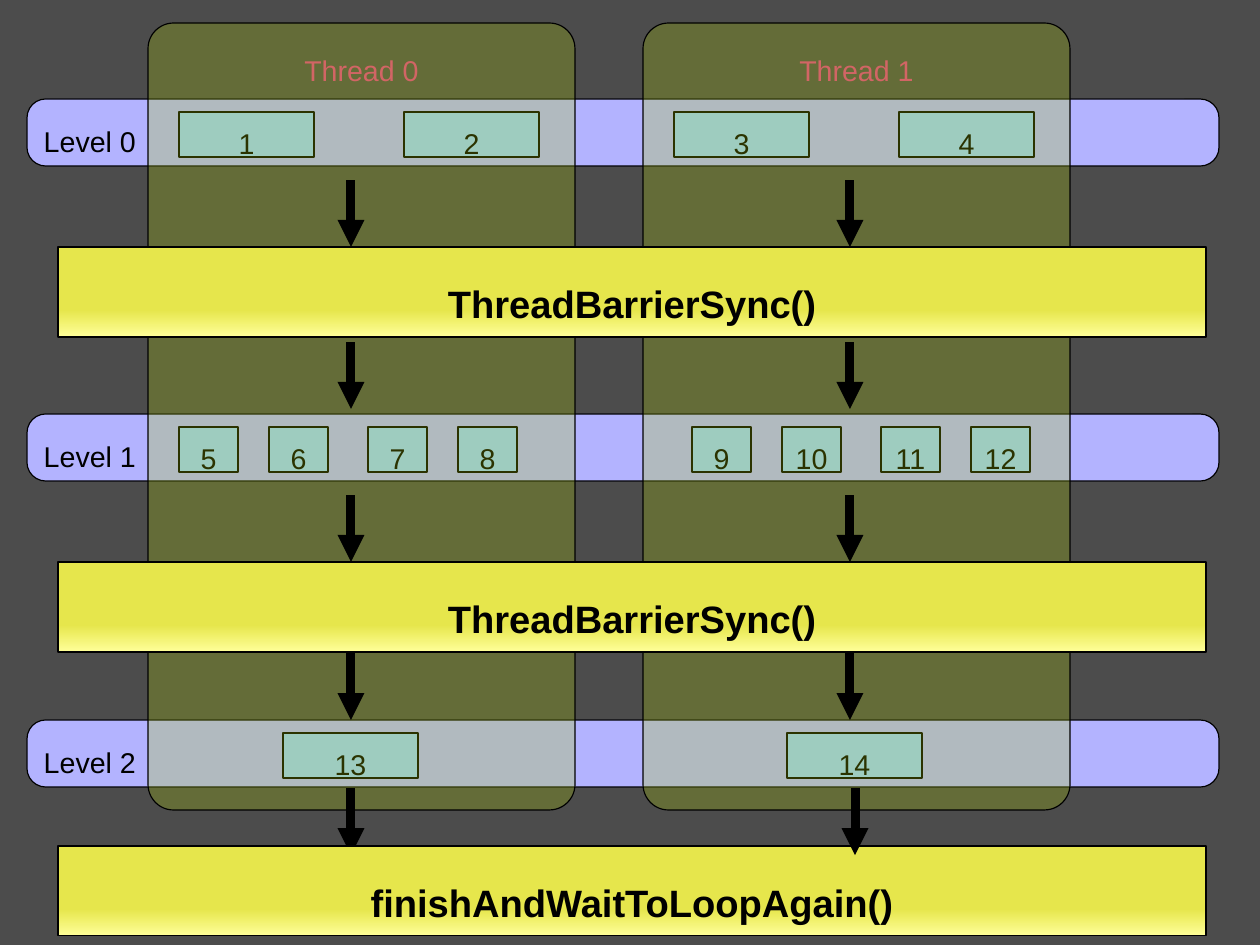
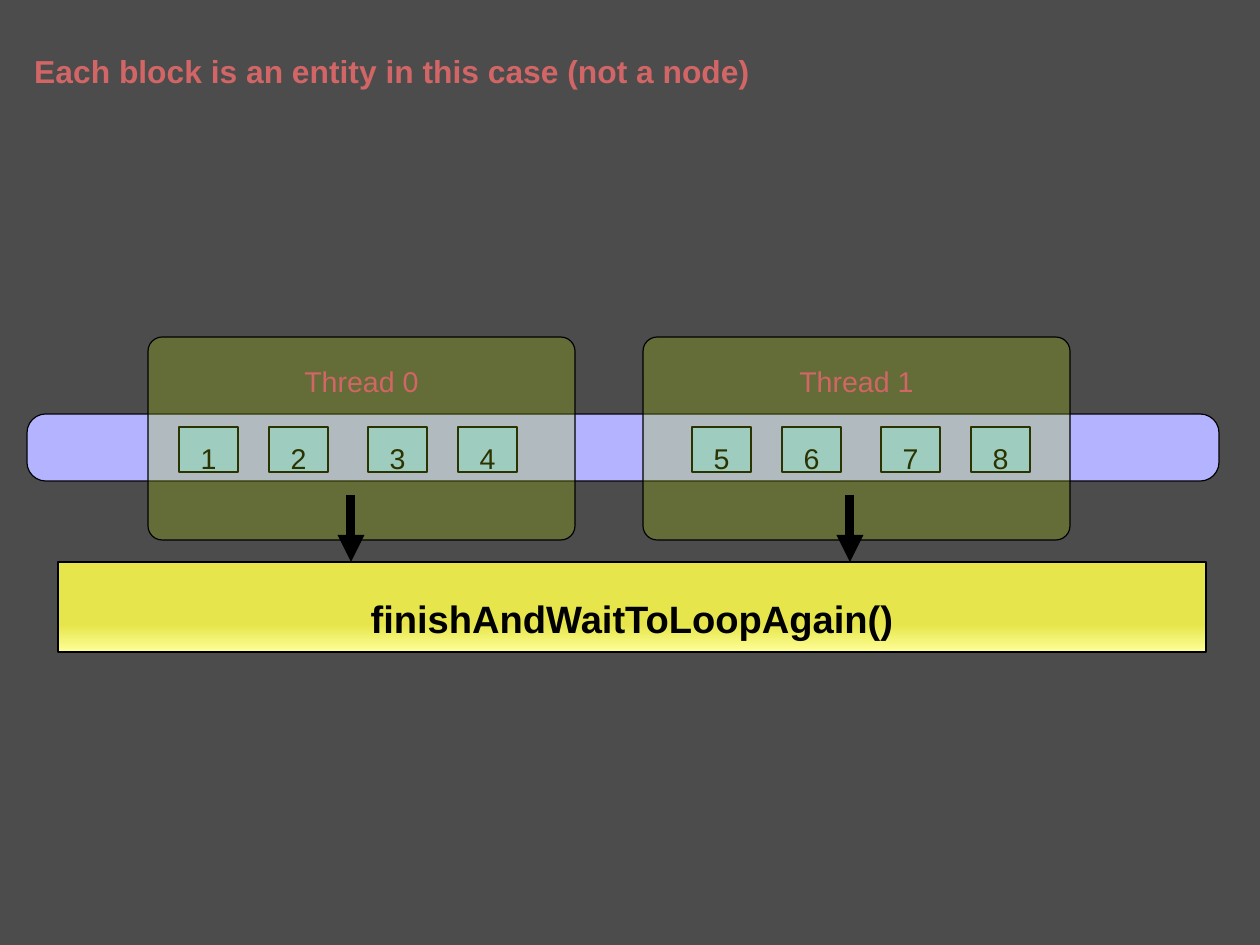
from itertools import count

from pptx import Presentation
from pptx.dml.color import RGBColor
from pptx.enum.shapes import MSO_CONNECTOR, MSO_SHAPE
from pptx.enum.text import MSO_ANCHOR, MSO_AUTO_SIZE, PP_ALIGN
from pptx.oxml.ns import qn
from pptx.util import Pt
from lxml import etree

RECT, ROUND = MSO_SHAPE.RECTANGLE, MSO_SHAPE.ROUNDED_RECTANGLE
LINE = MSO_CONNECTOR.STRAIGHT
LEFT, CENTER = PP_ALIGN.LEFT, PP_ALIGN.CENTER
TOP, MIDDLE = MSO_ANCHOR.TOP, MSO_ANCHOR.MIDDLE
GROW = MSO_AUTO_SIZE.SHAPE_TO_FIT_TEXT

PX = 8000  # EMU per px
WIDTH, HEIGHT = 1260, 945
FONT = "Arial"
COLORS = {
    "back": "4C4C4C", "ink": "000000", "title": "D26565",
    "level": "B3B3FF", "block": "99CCFF", "thread": "AECF00",
    "gold": "E6E64C", "pale": "FFFF99",
}

# Shared columns
THREADS = (148, 643)
ARROWS = (351, 850)
PAIRS = (179, 404, 674, 899)
FOURS = [x + dx for x in (179, 692) for dx in (0, 90, 189, 279)]
WIDE, SMALL = 135, 59


def color(name):
    return RGBColor.from_string(COLORS[name])


class Deck:
    def __init__(self):
        self.deck = Presentation()
        self.deck.slide_width = WIDTH * PX
        self.deck.slide_height = HEIGHT * PX
        self.slide = None

    def start(self):
        self.slide = self.deck.slides.add_slide(self.deck.slide_layouts[6])
        fill = self.slide.background.fill
        fill.solid()
        fill.fore_color.rgb = color("back")
        self.num = count(1)

    def label(self, shape, text, size=18, ink="ink", bold=False,
              align=CENTER, anchor=MIDDLE):
        frame = shape.text_frame
        frame.word_wrap = True
        frame.vertical_anchor = anchor
        para = frame.paragraphs[0]
        para.alignment = align
        para.line_spacing = 1.5
        run = para.add_run()
        run.text = text
        run.font.name = FONT
        run.font.size = Pt(size)
        run.font.bold = bold
        run.font.color.rgb = color(ink)

    def shape(self, kind, x, y, w, h, fill, curve=None):
        item = self.slide.shapes.add_shape(
            kind, x * PX, y * PX, w * PX, h * PX)
        item.shadow.inherit = False
        item.fill.solid()
        item.fill.fore_color.rgb = color(fill)
        item.line.color.rgb = color("ink")
        item.line.width = 0
        if curve is not None:
            item.adjustments[0] = curve
        return item

    def level(self, y, text=None):
        band = self.shape(ROUND, 27, y, 1192, 67, "level", 0.28)
        if text:
            self.label(band, text, align=LEFT)

    def blocks(self, y, lefts, w):
        for x in lefts:
            block = self.shape(RECT, x, y + 13, w, 45, "block")
            self.label(block, str(next(self.num)))

    def threads(self, y, h):
        for i, x in enumerate(THREADS):
            pane = self.shape(ROUND, x, y, 427, h, "thread",
                              0.06 if h > 427 else 0.07)
            tint = pane._element.spPr.find(".//" + qn("a:srgbClr"))
            etree.SubElement(tint, qn("a:alpha"), val="25000")
            self.label(pane, f"Thread {i}", ink="title", anchor=TOP)

    def arrow(self, x, y):
        arrow = self.slide.shapes.add_connector(
            LINE, x * PX, y * PX, x * PX, (y + 67) * PX)
        arrow.line.color.rgb = color("ink")
        arrow.line.width = 9 * PX
        props = arrow._element.spPr
        etree.SubElement(props.find(qn("a:ln")), qn("a:tailEnd"),
                         type="triangle")
        etree.SubElement(props, qn("a:effectLst"))

    def arrows(self, y):
        for x in ARROWS:
            self.arrow(x, y)

    def bar(self, y, text):
        bar = self.shape(RECT, 58, y, 1148, 90, "gold")
        bar.fill.gradient()
        bar.fill.gradient_angle = 270
        stops = zip(bar.fill.gradient_stops, (0.7, 1), ("gold", "pale"))
        for stop, place, name in stops:
            stop.position = place
            stop.color.rgb = color(name)
        self.label(bar, text, 24, bold=True)

    def title(self, text):
        box = self.slide.shapes.add_textbox(
            23 * PX, 27 * PX, 1192 * PX, 64 * PX)
        self.label(box, text, 20, "title", True, LEFT, TOP)
        box.text_frame.auto_size = GROW


def main():
    deck = Deck()

    # Slide 1: three levels with a barrier after each
    deck.start()
    rows = ((99, PAIRS, WIDE), (414, FOURS, SMALL), (720, (283, 787), WIDE))
    for i, (y, lefts, w) in enumerate(rows):
        deck.level(y, f"Level {i}")
        deck.blocks(y, lefts, w)
    deck.threads(23, 787)
    for y in (180, 342, 495, 653):
        deck.arrows(y)
    deck.arrow(ARROWS[0], 788)
    for y in (247, 562):
        deck.bar(y, "ThreadBarrierSync()")
    deck.bar(846, "finishAndWaitToLoopAgain()")
    deck.arrow(855, 788)

    # Slide 2: one level of entities
    deck.start()
    deck.level(414)
    deck.blocks(414, FOURS, SMALL)
    deck.threads(337, 203)
    deck.arrows(495)
    deck.bar(562, "finishAndWaitToLoopAgain()")
    deck.title("Each block is an entity in this case (not a node)")

    deck.deck.save("out.pptx")


if __name__ == "__main__":
    main()
